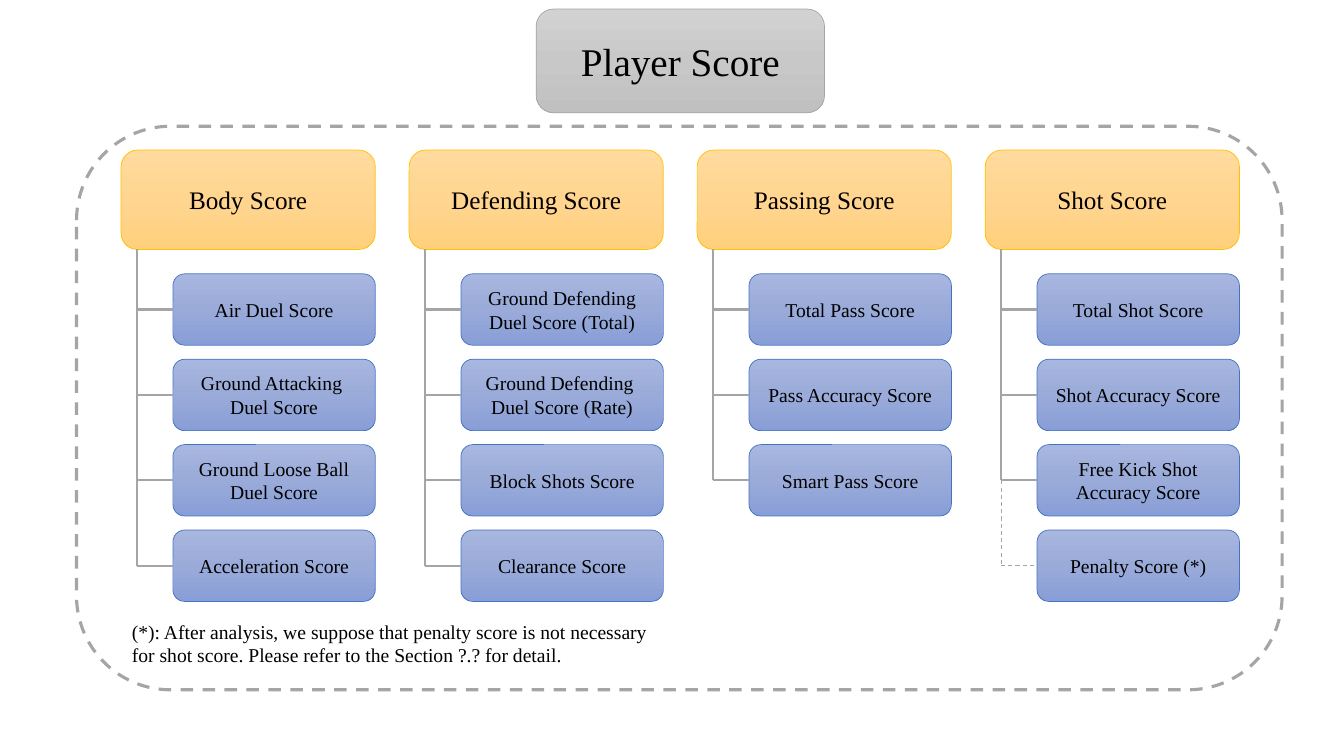
"""Build the player score hierarchy slide."""
from copy import deepcopy

from pptx import Presentation
from pptx.dml.color import RGBColor
from pptx.enum.dml import MSO_LINE
from pptx.enum.shapes import MSO_CONNECTOR, MSO_SHAPE
from pptx.enum.text import MSO_ANCHOR, PP_ALIGN
from pptx.oxml.ns import qn
from pptx.oxml.xmlchemy import OxmlElement
from pptx.util import Pt

TITLE = "Player Score"
OPTIONAL = "Penalty Score (*)"
GROUPS = {
    "Body Score": [
        "Air Duel Score",
        "Ground Attacking \nDuel Score",
        "Ground Loose Ball Duel Score",
        "Acceleration Score",
    ],
    "Defending Score": [
        "Ground Defending Duel Score (Total)",
        "Ground Defending \nDuel Score (Rate)",
        "Block Shots Score",
        "Clearance Score",
    ],
    "Passing Score": ["Total Pass Score", "Pass Accuracy Score", "Smart Pass Score"],
    "Shot Score": [
        "Total Shot Score",
        "Shot Accuracy Score",
        "Free Kick Shot Accuracy Score",
        OPTIONAL,
    ],
}
NOTE = (
    "(*): After analysis, we suppose that penalty score is not necessary "
    "for shot score. Please refer to the Section ?.? for detail."
)

FONT = "Times New Roman"
COLORS = {"text": "000000", "gray": "A5A5A5", "gold": "FFC000", "blue": "4472C4"}
GRADIENTS = {
    "gray": ("D2D2D2", "C8C8C8", "C0C0C0"),
    "gold": ("FFDB9E", "FFD590", "FFD07C"),
    "blue": ("A8B7DF", "9AABD9", "889ED7"),
}

GROUP_LEFT, GROUP_TOP, GROUP_PITCH = 86.5, 107.2, 205.75
GROUP_WIDTH, GROUP_HEIGHT = 181.6, 71
SCORE_INDENT, SCORE_TOP, SCORE_PITCH = 37, 195.6, 61
SCORE_WIDTH, SCORE_HEIGHT = 144.6, 51
TRUNK_INDENT = 11.3


def write(text_frame, text, size, alignment):
    """Fill a text frame, one paragraph per line of text."""
    text_frame.word_wrap = True
    for index, line in enumerate(text.split("\n")):
        paragraph = text_frame.paragraphs[0] if index == 0 else text_frame.add_paragraph()
        paragraph.alignment = alignment
        run = paragraph.add_run()
        run.text = line
        run.font.name = FONT
        run.font.size = Pt(size)
        run.font.color.rgb = RGBColor.from_string(COLORS["text"])


def style_line(line, color, width, dashed=False):
    """Set the colour, width and dash of a line."""
    line.color.rgb = RGBColor.from_string(COLORS[color])
    line.width = Pt(width)
    if dashed:
        line.dash_style = MSO_LINE.DASH


def add_round_box(left, top, width, height):
    """Add a rounded rectangle without shadow."""
    shape = slide.shapes.add_shape(
        MSO_SHAPE.ROUNDED_RECTANGLE, Pt(left), Pt(top), Pt(width), Pt(height)
    )
    shape.shadow.inherit = False
    return shape


def add_score_box(text, box, color, size):
    """Add a rounded box with a vertical gradient and centred text."""
    shape = add_round_box(*box)
    shape.fill.gradient()
    shape.fill.gradient_angle = 270
    stop_list = shape._element.spPr.find(".//" + qn("a:gsLst"))
    stop_list.insert(1, deepcopy(stop_list[0]))
    for stop, position, shade in zip(shape.fill.gradient_stops, (0, 0.5, 1), GRADIENTS[color]):
        stop.position = position
        stop.color.rgb = RGBColor.from_string(shade)
    style_line(shape.line, color, 0.5)
    shape.text_frame.vertical_anchor = MSO_ANCHOR.MIDDLE
    write(shape.text_frame, text, size, PP_ALIGN.CENTER)


def add_branch(x1, y1, x2, y2, dashed=False):
    """Add one straight piece of a tree."""
    connector = slide.shapes.add_connector(
        MSO_CONNECTOR.STRAIGHT, Pt(x1), Pt(y1), Pt(x2), Pt(y2)
    )
    style_line(connector.line, "gray", 0.75 if dashed else 1.5, dashed)
    connector._element.spPr.append(OxmlElement("a:effectLst"))


presentation = Presentation()
presentation.slide_width, presentation.slide_height = Pt(960), Pt(540)
slide = presentation.slides.add_slide(presentation.slide_layouts[6])

frame = add_round_box(54.7, 90.2, 861.1, 402.5)
frame.fill.background()
style_line(frame.line, "gray", 2.25, dashed=True)

add_score_box(TITLE, (383, 6.5, 206, 74), "gray", 28)

for column, (group, scores) in enumerate(GROUPS.items()):
    left = GROUP_LEFT + column * GROUP_PITCH
    trunk, score_left = left + TRUNK_INDENT, left + SCORE_INDENT
    add_score_box(group, (left, GROUP_TOP, GROUP_WIDTH, GROUP_HEIGHT), "gold", 18)
    trunk_end = GROUP_TOP + GROUP_HEIGHT
    for row, score in enumerate(scores):
        top = SCORE_TOP + row * SCORE_PITCH
        middle = top + SCORE_HEIGHT / 2
        add_score_box(score, (score_left, top, SCORE_WIDTH, SCORE_HEIGHT), "blue", 14)
        dashed = score == OPTIONAL
        add_branch(trunk, trunk_end, trunk, middle, dashed)
        add_branch(trunk, middle, score_left, middle, dashed)
        trunk_end = middle

note = slide.shapes.add_textbox(Pt(87.1), Pt(439.2), Pt(399), Pt(41.2))
write(note.text_frame, NOTE, 14, PP_ALIGN.LEFT)

presentation.save("out.pptx")
